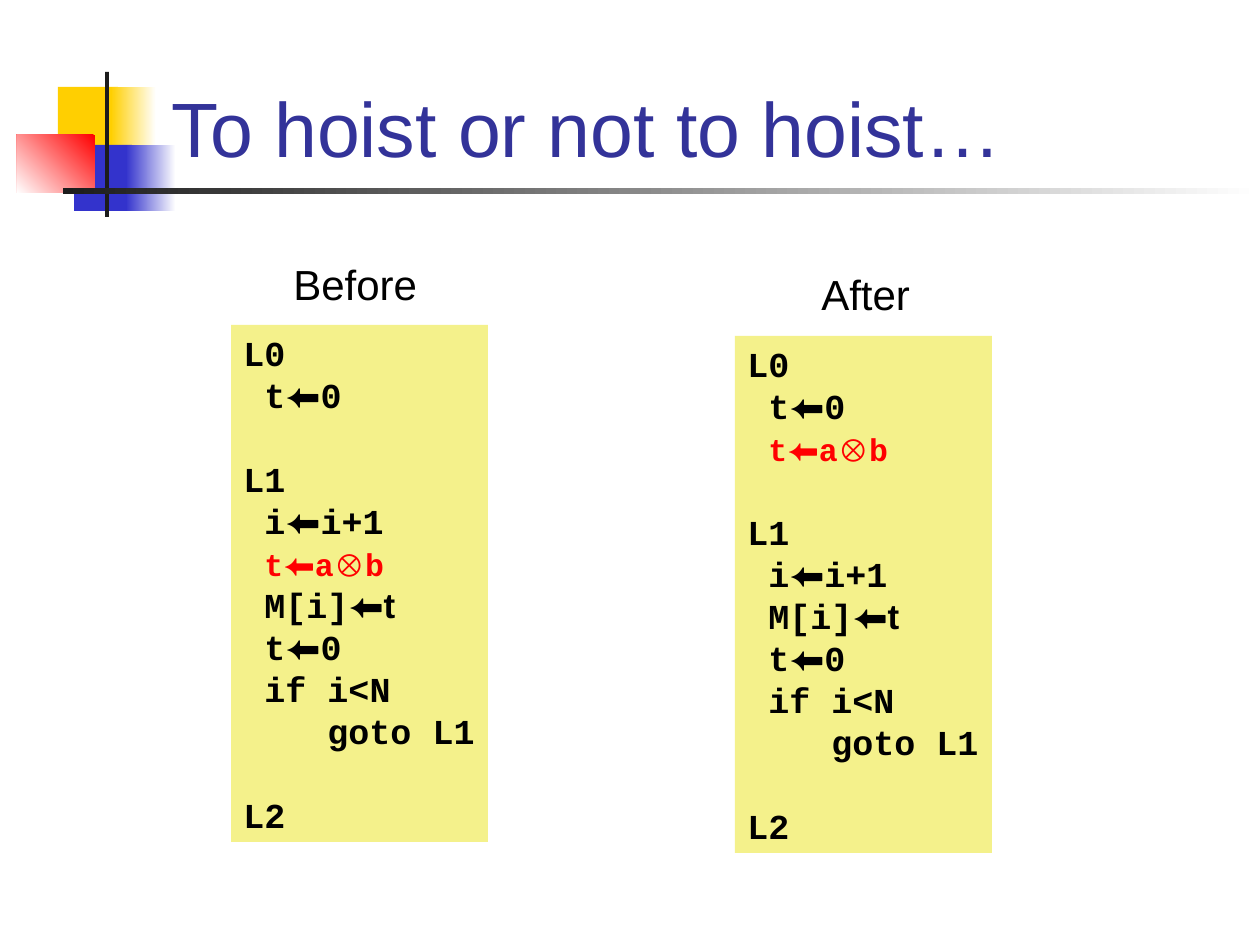
from pptx import Presentation
from pptx.dml.color import RGBColor
from pptx.enum.shapes import MSO_SHAPE
from pptx.enum.text import MSO_ANCHOR, MSO_AUTO_SIZE, PP_ALIGN
from pptx.util import Emu, Pt

RECT = MSO_SHAPE.RECTANGLE
TOP, BOTTOM = MSO_ANCHOR.TOP, MSO_ANCHOR.BOTTOM
LEFT = PP_ALIGN.LEFT
NO_FIT = MSO_AUTO_SIZE.NONE

PX = 914400 // 126
COLORS = {
    "title": "333399",
    "text": "000000",
    "hoisted": "FF0000",
    "panel": "F4F18B",
    "yellow": "FFCF01",
    "blue": "3333CC",
    "red": "FF0000",
    "dark": "1C1C1C",
    "white": "FFFFFF",
}
SANS, MONO = "Arial", "Courier New"
TITLE = {"name": SANS, "size": Pt(44), "bold": False}
LABEL = {"name": SANS, "size": Pt(24), "bold": False}
CODE = {"size": Pt(20), "bold": True}
HOISTED = {"size": Pt(18), "bold": True}
LINE = Pt(24)
CHAR = 21

DECORATION = [
    ((58, 87, 60, 65), ["yellow"], 0),
    ((111, 87, 45, 65), ["white", "yellow"], 180),
    ((74, 145, 58, 66), ["blue"], 0),
    ((126, 145, 50, 66), ["white", "blue"], 180),
    ((17, 135, 78, 58), ["red", "white"], 225),
    ((105, 72, 4, 145), ["dark"], 0),
    ((63, 188, 1197, 6), ["white", "dark"], 180),
]

START = [(0, "L0"), (1, "t|⬅|0")]
MULTIPLY = (1, "t|⬅|a|⊗|b")
LOOP = [(0, "L1"), (1, "i|⬅|i+1")]
END = [(1, "M[i]|⬅t"), (1, "t|⬅|0"), (1, "if i<N"), (4, "goto L1"), (0, "L2")]

PANELS = [
    ("Before", (281, 252, 149, 63), (231, 325, 257, 517),
     START + LOOP + [MULTIPLY] + END),
    ("After", (809, 262, 113, 63), (735, 336, 257, 517),
     START + [MULTIPLY] + LOOP + END),
]


class Deck:
    def __init__(self, width, height):
        self.prs = Presentation()
        self.prs.slide_width = Emu(width * PX)
        self.prs.slide_height = Emu(height * PX)
        self.s = self.prs.slides.add_slide(self.prs.slide_layouts[5])

    def color(self, key):
        return RGBColor.from_string(COLORS[key])

    def box(self, values):
        return [Emu(v * PX) for v in values]

    def frame(self, sp, anchor=TOP, wrap=False):
        tf = sp.text_frame
        options = {"word_wrap": wrap, "auto_size": NO_FIT,
                   "vertical_anchor": anchor}
        for name, value in options.items():
            setattr(tf, name, value)
        return tf

    def run(self, p, text, style, color, **extra):
        r = p.add_run()
        r.text = text
        for name, value in {**style, **extra}.items():
            setattr(r.font, name, value)
        r.font.color.rgb = self.color(color)

    def rect(self, box, colors, angle=0):
        sp = self.s.shapes.add_shape(RECT, *self.box(box))
        sp.shadow.inherit = False
        sp.line.fill.background()
        if len(colors) == 1:
            sp.fill.solid()
            sp.fill.fore_color.rgb = self.color(colors[0])
        else:
            sp.fill.gradient()
            sp.fill.gradient_angle = angle
            for stop, key in zip(sp.fill.gradient_stops, colors):
                stop.color.rgb = self.color(key)
        return sp

    def title(self, text, box):
        sp = self.s.shapes.title
        sp.left, sp.top, sp.width, sp.height = self.box(box)
        p = self.frame(sp, BOTTOM, True).paragraphs[0]
        p.alignment = LEFT
        self.run(p, text, TITLE, "title")

    def label(self, text, box):
        sp = self.s.shapes.add_textbox(*self.box(box))
        p = self.frame(sp).paragraphs[0]
        self.run(p, text, LABEL, "text")

    def code(self, lines, box):
        tf = self.frame(self.rect(box, ["panel"]))
        for i, line in enumerate(lines):
            indent, text = line
            p = tf.paragraphs[0] if i == 0 else tf.add_paragraph()
            p.alignment = LEFT
            p.line_spacing = LINE
            p.space_before = LINE if i and indent == 0 else Pt(0)
            p._p.get_or_add_pPr().set("marL", str(indent * CHAR * PX))
            hoisted = line == MULTIPLY
            style, color = (HOISTED, "hoisted") if hoisted else (CODE, "text")
            for n, part in enumerate(text.split("|")):
                self.run(p, part, style, color, name=SANS if n % 2 else MONO)


def main():
    deck = Deck(1260, 945)
    for box, colors, angle in DECORATION:
        deck.rect(box, colors, angle)
    deck.title("To hoist or not to hoist…", (159, 21, 1074, 158))
    for name, label_box, code_box, lines in PANELS:
        deck.code(lines, code_box)
        deck.label(name, label_box)
    deck.prs.save("out.pptx")


if __name__ == "__main__":
    main()
